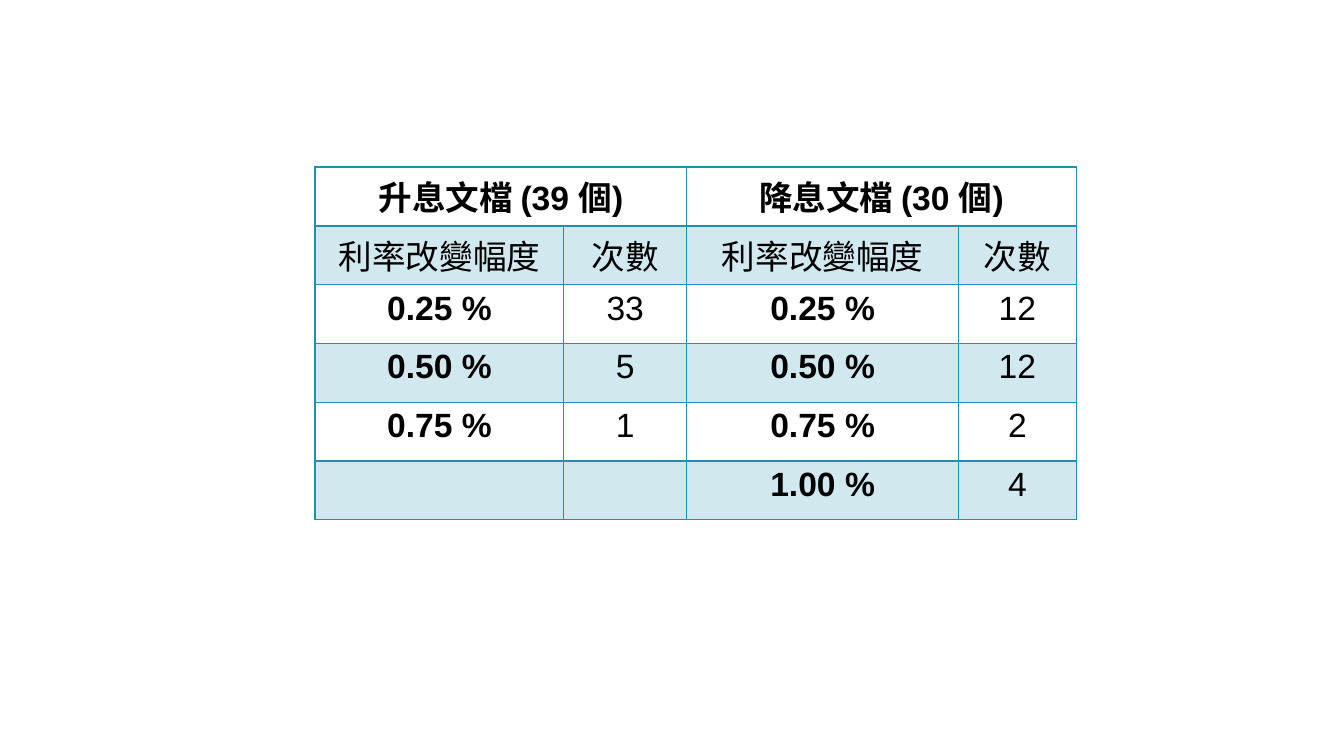
from dataclasses import dataclass

import lxml.etree
import pptx
import pptx.dml.color
import pptx.enum.text
import pptx.oxml.ns
import pptx.util

PX = 9525
TEAL = "228EB0"
COLUMN_WIDTHS = (237, 117, 259, 112)
ROW_HEIGHT = 56
BLANK_LAYOUT = 6


@dataclass
class RateRow:
    texts: tuple[str, str, str, str]
    bold: tuple[bool, bool, bool, bool] = (True, False, True, False)
    shaded: bool = False
    top_line: int = 1
    bottom_line: int = 1


ROWS = (
    RateRow(("升息文檔 (39 個)", "", "降息文檔 (30 個)", ""), bottom_line=2),
    RateRow(("利率改變幅度", "次數") * 2, bold=(False,) * 4, shaded=True, top_line=2),
    RateRow(("0.25 %", "33", "0.25 %", "12")),
    RateRow(("0.50 %", "5", "0.50 %", "12"), shaded=True),
    RateRow(("0.75 %", "1", "0.75 %", "2")),
    RateRow(("", "", "1.00 %", "4"), shaded=True),
)


def px(length: int) -> int:
    return pptx.util.Emu(length * PX)


def color(hex_text: str) -> pptx.dml.color.RGBColor:
    return pptx.dml.color.RGBColor.from_string(hex_text)


def add_child(parent, tag: str, **attributes: str):
    return lxml.etree.SubElement(parent, pptx.oxml.ns.qn(tag), attributes)


def draw_borders(cell, row: RateRow) -> None:
    properties = cell._tc.get_or_add_tcPr()
    widths = {"L": 1, "R": 1, "T": row.top_line, "B": row.bottom_line}
    for side, points in widths.items():
        line = add_child(properties, f"a:ln{side}", w=str(pptx.util.Pt(points)))
        fill = add_child(line, "a:solidFill")
        add_child(fill, "a:srgbClr", val=TEAL)


def fill_cell(cell, shaded: bool) -> None:
    """Tint a shaded cell with 20 % teal and leave others clear."""
    if not shaded:
        cell.fill.background()
        return
    cell.fill.solid()
    cell.fill.fore_color.rgb = color(TEAL)
    tint = cell._tc.tcPr.find(".//" + pptx.oxml.ns.qn("a:solidFill") + "[last()]")
    tint = cell._tc.tcPr.find(pptx.oxml.ns.qn("a:solidFill"))
    add_child(tint[0], "a:alpha", val="20000")


def write_text(cell, text: str, bold: bool) -> None:
    para = cell.text_frame.paragraphs[0]
    para.alignment = pptx.enum.text.PP_ALIGN.CENTER
    span = para.add_run()
    span.text = text
    formats = {"name": "Arial", "size": pptx.util.Pt(24), "bold": bold}
    for attribute, value in formats.items():
        setattr(span.font, attribute, value)
    span.font.color.rgb = color("000000")


def draw_table(page) -> None:
    frame = page.shapes.add_table(
        len(ROWS), len(COLUMN_WIDTHS), px(300), px(159),
        px(sum(COLUMN_WIDTHS)), px(ROW_HEIGHT * len(ROWS)),
    )
    table = frame.table
    table.first_row = False
    table.horz_banding = False
    for column, width in zip(table.columns, COLUMN_WIDTHS):
        column.width = px(width)
    for index, row in enumerate(ROWS):
        table.rows[index].height = px(ROW_HEIGHT)
        for cell, text, bold in zip(table.rows[index].cells, row.texts, row.bold):
            draw_borders(cell, row)
            fill_cell(cell, row.shaded)
            if text:
                write_text(cell, text, bold)
    for first in (0, 2):
        table.cell(0, first).merge(table.cell(0, first + 1))


def main() -> None:
    deck = pptx.Presentation()
    deck.slide_width, deck.slide_height = px(1280), px(720)
    page = deck.slides.add_slide(deck.slide_layouts[BLANK_LAYOUT])
    draw_table(page)
    deck.save("out.pptx")


if __name__ == "__main__":
    main()
